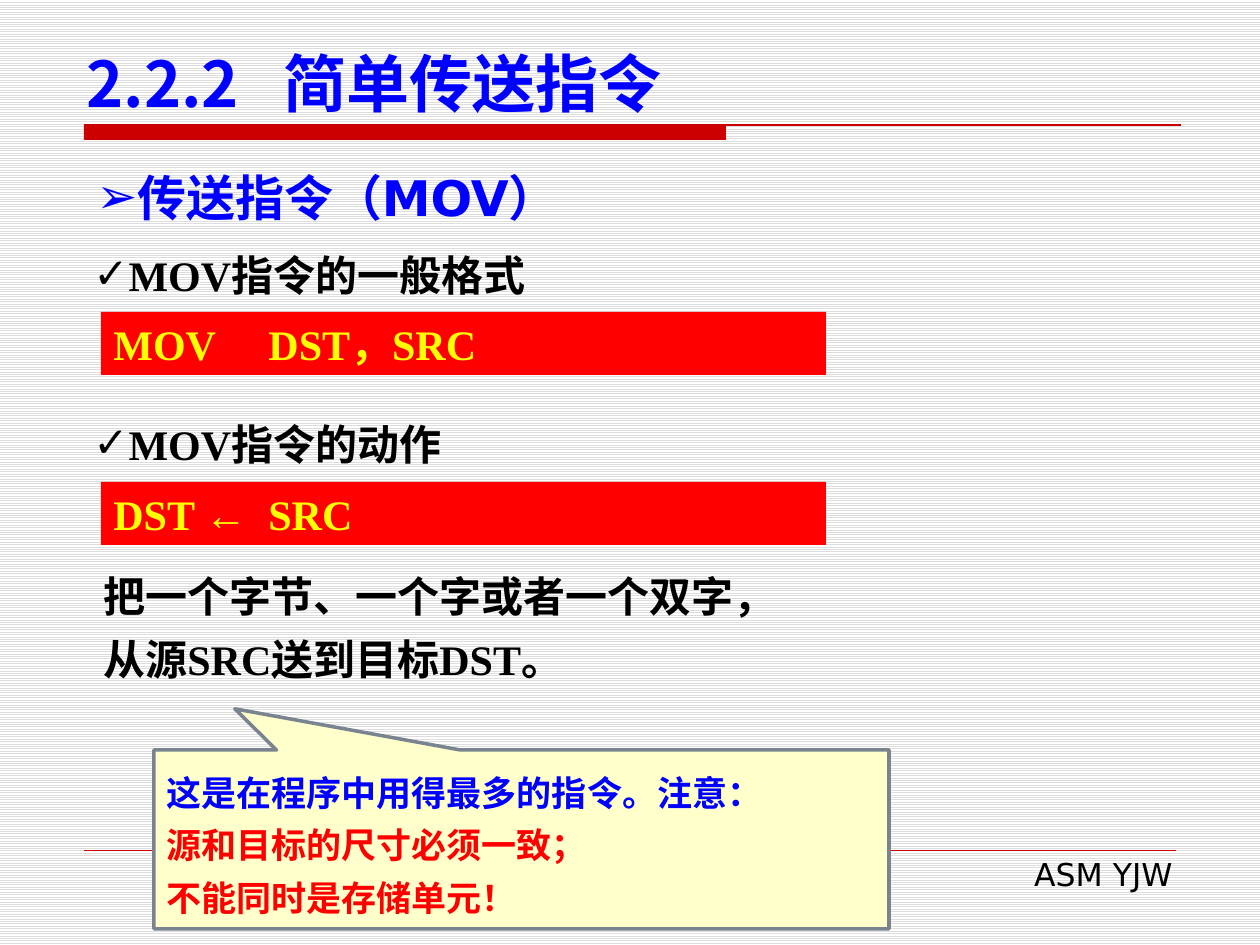
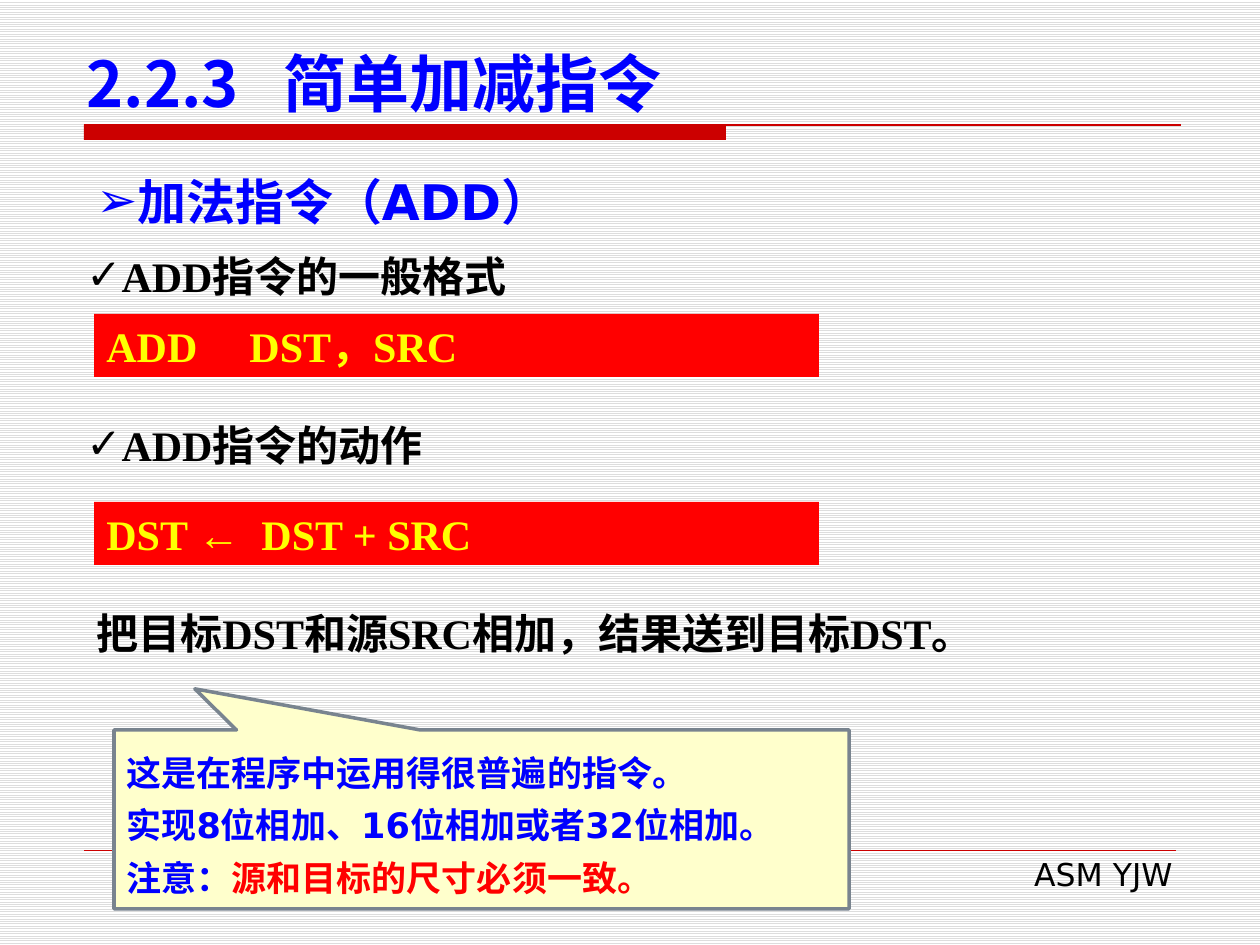
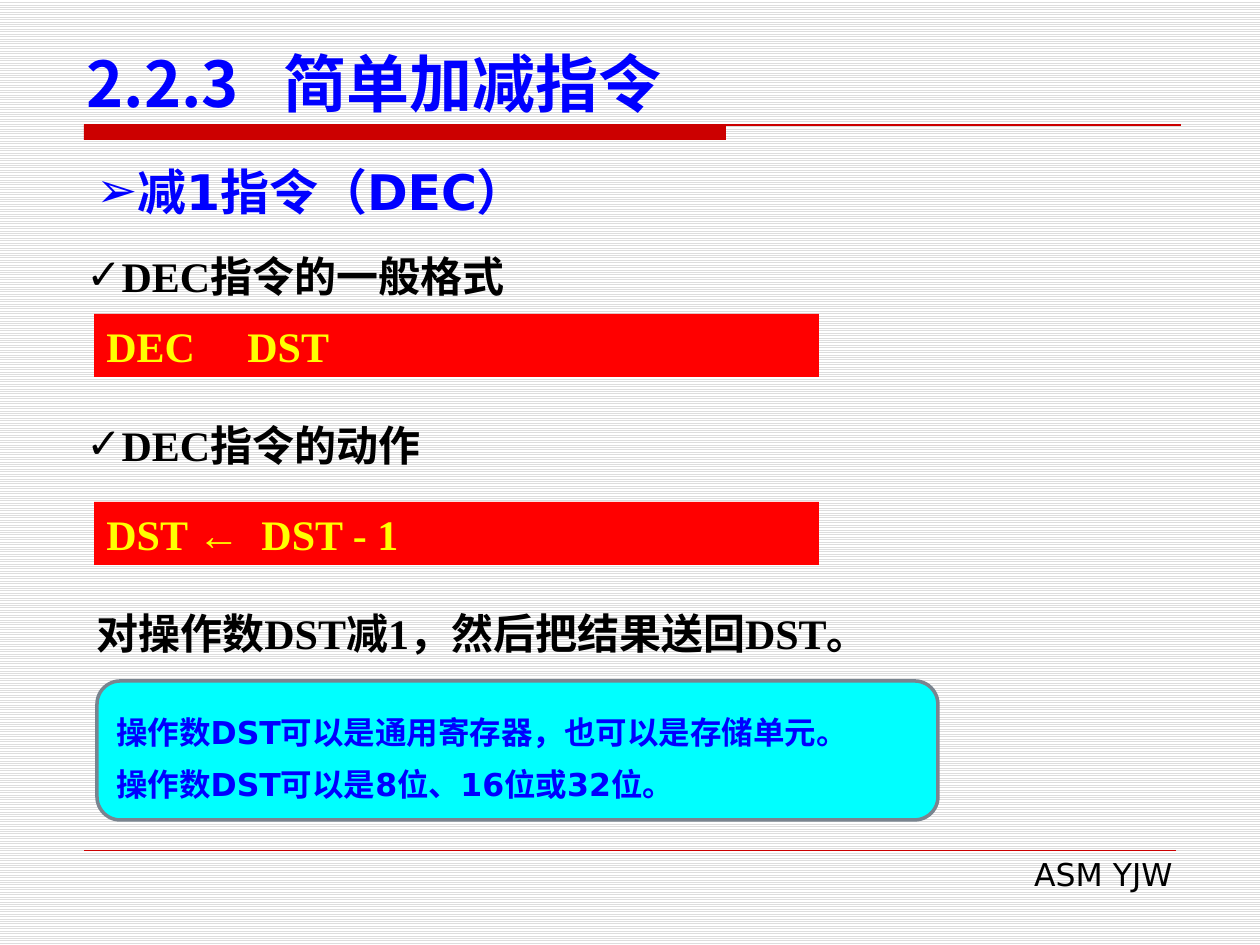
from dataclasses import dataclass

from lxml.etree import SubElement
from pptx import Presentation
from pptx.dml.color import RGBColor
from pptx.enum.dml import MSO_PATTERN
from pptx.enum.shapes import MSO_CONNECTOR, MSO_SHAPE
from pptx.enum.text import MSO_ANCHOR, MSO_AUTO_SIZE, PP_ALIGN
from pptx.oxml.ns import qn
from pptx.util import Pt

EMU_PER_PX = 914400 / 126
COLORS = {
    "blue": "0000FF",
    "red": "FF0000",
    "band": "CC0000",
    "yellow": "FFFF00",
    "cream": "FFFFCC",
    "cyan": "00FFFF",
    "outline": "79848F",
    "stripe": "DDDDDD",
    "white": "FFFFFF",
    "black": "000000",
}


@dataclass
class Style:
    """Describe the look of one kind of paragraph."""

    size: int
    color: str
    font: str = "DejaVu Sans"
    asian_font: str = "DejaVu Sans"
    bold: bool = True
    align: PP_ALIGN = PP_ALIGN.LEFT
    line_spacing: int = 0
    space_before: int = 0
    bullet: str = ""


TITLE = Style(36, "blue", "Noto Sans CJK SC", "Noto Sans CJK SC")
HEADING = Style(28, "blue", align=PP_ALIGN.JUSTIFY, bullet="➢")
POINT = Style(24, "black", "Times New Roman", bullet="✓")
CODE = Style(24, "yellow", "Times New Roman")
BODY = Style(24, "black", "Times New Roman")
SPACED_BODY = Style(24, "black", "Times New Roman", line_spacing=30, space_before=6)
CALLOUT = Style(20, "blue", line_spacing=30)
NOTE = Style(18, "blue", line_spacing=30)
FOOTER = Style(18, "black", bold=False, align=PP_ALIGN.RIGHT)


def px(*lengths):
    """Turn pixel lengths into EMU."""
    return [round(length * EMU_PER_PX) for length in lengths]


def rgb(name):
    """Look up a named colour."""
    return RGBColor.from_string(COLORS[name])


def format_paragraph(para, style, color, tab=0):
    """Apply spacing, bullet, tab stop and font to a paragraph."""
    para.alignment = style.align
    if style.line_spacing:
        para.line_spacing = Pt(style.line_spacing)
    if style.space_before:
        para.space_before = Pt(style.space_before)
    properties = para._p.get_or_add_pPr()
    if style.bullet:
        SubElement(properties, qn("a:buFont"), typeface="DejaVu Sans")
        SubElement(properties, qn("a:buChar"), char=style.bullet)
    if tab:
        stops = SubElement(properties, qn("a:tabLst"))
        SubElement(stops, qn("a:tab"), pos=str(px(tab)[0]), algn="l")
    font = para.font
    font.size, font.bold, font.name = Pt(style.size), style.bold, style.font
    font.color.rgb = rgb(color)
    asian = SubElement(properties.find(qn("a:defRPr")), qn("a:ea"))
    asian.set("typeface", style.asian_font)


def write(frame, paragraphs, style, tab=0):
    """Fill a frame; a paragraph is a string or a list of (text, colour) spans."""
    frame.word_wrap = True
    for index, content in enumerate(paragraphs):
        para = frame.paragraphs[0] if index == 0 else frame.add_paragraph()
        spans = [(content, style.color)] if isinstance(content, str) else content
        base_color = spans[0][1]
        format_paragraph(para, style, base_color, tab)
        for text, color in spans:
            span = para.add_run()
            span.text = text
            if color != base_color:
                span.font.color.rgb = rgb(color)


def add_text(page, place, paragraphs, style):
    """Add a plain text box."""
    box = page.shapes.add_textbox(*px(*place))
    write(box.text_frame, paragraphs, style)


def add_box(page, kind, place, fill, outline=None):
    """Add a filled preset shape with an optional outline."""
    box = page.shapes.add_shape(kind, *px(*place))
    box.shadow.inherit = False
    box.fill.solid()
    box.fill.fore_color.rgb = rgb(fill)
    if outline:
        box.line.color.rgb = rgb(outline)
        box.line.width = Pt(2)
    else:
        box.line.fill.background()
    return box


def add_rule(page, left, right, top, width):
    """Add a thin horizontal line in the band colour."""
    rule = page.shapes.add_connector(MSO_CONNECTOR.STRAIGHT, *px(left, top, right, top))
    rule.line.color.rgb = rgb("band")
    rule.line.width = Pt(width)
    SubElement(rule._element.spPr, qn("a:effectLst"))


def add_code_bar(page, left, top, parts, tab):
    """Add a red bar whose second part starts at a tab stop."""
    bar = add_box(page, MSO_SHAPE.RECTANGLE, (left, top, 725, 63), "red")
    bar.text_frame.vertical_anchor = MSO_ANCHOR.TOP
    write(bar.text_frame, ["\t".join(parts)], CODE, tab)


def add_callout(page, left, top, paragraphs):
    """Add a cream callout pointing up to the description."""
    callout = add_box(page, MSO_SHAPE.RECTANGULAR_CALLOUT, (left, top, 735, 179), "cream", "outline")
    callout.adjustments[0] = -0.39
    callout.adjustments[1] = -0.73
    callout.text_frame.vertical_anchor = MSO_ANCHOR.MIDDLE
    write(callout.text_frame, paragraphs, CALLOUT)


def add_note(page, place, paragraphs):
    """Add a rounded cyan note."""
    note = add_box(page, MSO_SHAPE.ROUNDED_RECTANGLE, place, "cyan", "outline")
    note.text_frame.vertical_anchor = MSO_ANCHOR.MIDDLE
    write(note.text_frame, paragraphs, NOTE)


def add_page(deck, number, title, heading, heading_top):
    """Add a page with its title, band, footer and heading."""
    page = deck.slides.add_slide(deck.slide_layouts[5])
    holder = page.shapes.title
    holder.left, holder.top, holder.width, holder.height = px(74, 37, 1142, 89)
    holder.text_frame.vertical_anchor = MSO_ANCHOR.BOTTOM
    holder.text_frame.auto_size = MSO_AUTO_SIZE.NONE
    write(holder.text_frame, [f"{number}\t{title}"], TITLE, tab=197)
    add_box(page, MSO_SHAPE.RECTANGLE, (84, 125, 642, 15), "band")
    add_rule(page, 84, 1181, 125, 0.75)
    add_rule(page, 84, 1176, 850, 0.25)
    add_text(page, (481, 849, 704, 50), ["ASM YJW"], FOOTER)
    add_text(page, (84, heading_top, 1091, 72), [heading], HEADING)
    return page


def add_instruction(page, name, left, tops, operands, operand_tab, result):
    """Add the format and the action of an instruction, each with its bar."""
    format_top, format_bar_top, action_top, action_bar_top = tops
    add_text(page, (left - 20, format_top, 924, 63), [f"{name}指令的一般格式"], POINT)
    add_code_bar(page, left, format_bar_top, (name, operands), operand_tab)
    add_text(page, (left - 20, action_top, 924, 63), [f"{name}指令的动作"], POINT)
    add_code_bar(page, left, action_bar_top, ("DST ←", result), 155)


def main():
    """Build the three pages and save the deck."""
    deck = Presentation()
    deck.slide_width, deck.slide_height = px(1260, 945)
    background = deck.slide_master.background.fill
    background.patterned()
    background.pattern = MSO_PATTERN.LIGHT_HORIZONTAL
    background.fore_color.rgb = rgb("stripe")
    background.back_color.rgb = rgb("white")

    page = add_page(deck, "2.2.2", "简单传送指令", "传送指令（MOV）", 161)
    add_instruction(page, "MOV", 101, (243, 312, 412, 482), "DST，SRC", 155, "SRC")
    add_text(page, (91, 562, 915, 125),
             ["把一个字节、一个字或者一个双字，", "从源SRC送到目标DST。"], SPACED_BODY)
    add_callout(page, 154, 750, [
        "这是在程序中用得最多的指令。注意：",
        [("源和目标的尺寸必须一致；", "red")],
        [("不能同时是存储单元！", "red")],
    ])

    arithmetic_tops = (244, 314, 413, 502)
    page = add_page(deck, "2.2.3", "简单加减指令", "加法指令（ADD）", 165)
    add_instruction(page, "ADD", 94, arithmetic_tops, "DST，SRC", 143, "DST + SRC")
    add_text(page, (84, 601, 1144, 63), ["把目标DST和源SRC相加，结果送到目标DST。"], BODY)
    add_callout(page, 114, 730, [
        "这是在程序中运用得很普遍的指令。",
        "实现8位相加、16位相加或者32位相加。",
        [("注意：", "blue"), ("源和目标的尺寸必须一致。", "red")],
    ])

    page = add_page(deck, "2.2.3", "简单加减指令", "减1指令（DEC）", 155)
    add_instruction(page, "DEC", 94, arithmetic_tops, "DST", 141, "DST - 1")
    add_text(page, (84, 601, 1144, 63), ["对操作数DST减1，然后把结果送回DST。"], BODY)
    add_note(page, (97, 681, 841, 139), [
        "操作数DST可以是通用寄存器，也可以是存储单元。",
        "操作数DST可以是8位、16位或32位。",
    ])

    deck.save("out.pptx")


if __name__ == "__main__":
    main()
